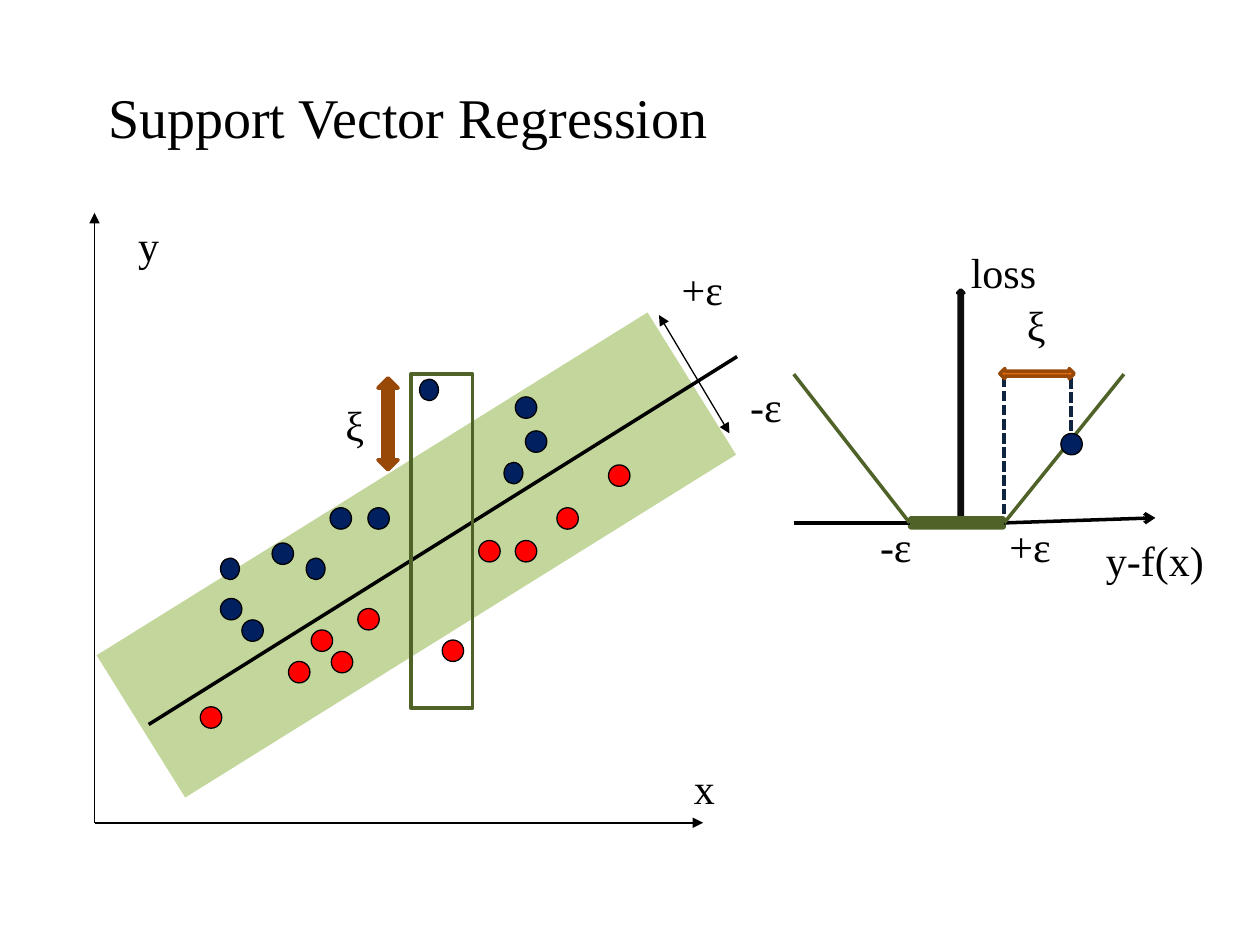
from lxml import etree
from pptx import Presentation
from pptx.dml.color import RGBColor
from pptx.enum.dml import MSO_LINE
from pptx.enum.shapes import MSO_CONNECTOR, MSO_SHAPE
from pptx.enum.text import MSO_ANCHOR, MSO_AUTO_SIZE, PP_ALIGN
from pptx.oxml.ns import qn
from pptx.util import Inches, Pt

BLACK = RGBColor(0x00, 0x00, 0x00)
INK = RGBColor(0x0D, 0x0D, 0x0D)
NAVY = RGBColor(0x00, 0x20, 0x60)
DARK_BLUE = RGBColor(0x0F, 0x24, 0x3E)
RED = RGBColor(0xFF, 0x00, 0x00)
PALE_GREEN = RGBColor(0xC3, 0xD6, 0x9B)
GREEN = RGBColor(0x4F, 0x62, 0x28)
BROWN = RGBColor(0x98, 0x48, 0x07)
ORANGE = RGBColor(0xE4, 0x6C, 0x0A)

RECTANGLE = MSO_SHAPE.RECTANGLE
ROUNDED = MSO_SHAPE.ROUNDED_RECTANGLE
PROCESS = MSO_SHAPE.FLOWCHART_PROCESS
OVAL = MSO_SHAPE.OVAL
UP_ARROW = MSO_SHAPE.UP_ARROW
UP_DOWN_ARROW = MSO_SHAPE.UP_DOWN_ARROW
STRAIGHT = MSO_CONNECTOR.STRAIGHT
DASH = MSO_LINE.SQUARE_DOT
CENTER = PP_ALIGN.CENTER
MIDDLE = MSO_ANCHOR.MIDDLE
FIT = MSO_AUTO_SIZE.SHAPE_TO_FIT_TEXT
LEFT_SIDE, RIGHT_SIDE = 1, 3

COLUMNS, ROWS = 100, 75
TITLE_ONLY = 5
DOT = 1.7

NARROW_DOTS = [(17.5, 44.3), (24.3, 44.3), (33.3, 30.1), (40, 36.7)]
UPPER_DOTS = [(17.5, 47.5), (19.2, 49.2), (21.6, 43.1), (41.7, 34.2),
              (29.2, 40.3), (40.9, 31.5), (26.2, 40.3)]
LOWER_DOTS = [(38, 42.9), (35.1, 50.8), (44.2, 40.3), (24.7, 50), (26.3, 51.7),
              (28.4, 48.3), (22.9, 52.5), (48.3, 36.9), (15.9, 56.1), (40.9, 42.9)]
LABELS = [
    ("x", 53.4, 60, 5, True), ("y", 9.3, 16.9, 5, True),
    ("+ε", 53.1, 20.4, 5.3, False), ("-ε", 58.5, 29.7, 4.6, False),
    ("+ε", 78.3, 40.8, 6.9, True), ("-ε", 68.8, 40.8, 4.6, False),
    ("y-f(x)", 83.8, 41.9, 15.7, True), ("loss", 71.8, 19.1, 15.7, True),
    ("ξ", 78.8, 23.3, 6.9, True), ("ξ", 24.7, 31.2, 6.9, True),
]


def write(frame, text, size=24, font="Times New Roman", color=BLACK, align=CENTER):
    para = frame.paragraphs[0]
    para.alignment = align
    span = para.add_run()
    span.text = text
    span.font.size = Pt(size)
    span.font.name = font
    span.font.color.rgb = color


class Painter:
    def __init__(self, deck):
        self.deck = deck
        self.page = deck.slides.add_slide(deck.slide_layouts[TITLE_ONLY])
        self.shapes = self.page.shapes

    def across(self, columns):
        return round(self.deck.slide_width * columns / COLUMNS)

    def down(self, rows):
        return round(self.deck.slide_height * rows / ROWS)

    def area(self, left, top, width, height):
        return self.across(left), self.down(top), self.across(width), self.down(height)

    def title(self, text, *area):
        box = self.shapes.title
        box.left, box.top, box.width, box.height = self.area(*area)
        box.text_frame.vertical_anchor = MIDDLE
        write(box.text_frame, text, size=32)

    def label(self, text, left, top, width, wrap):
        box = self.shapes.add_textbox(*self.area(left, top, width, 5))
        box.text_frame.word_wrap = wrap
        box.text_frame.auto_size = FIT
        write(box.text_frame, text)

    def shape(self, kind, *area, fill=None, line=None, weight=2, turn=0):
        item = self.shapes.add_shape(kind, *self.area(*area))
        item.shadow.inherit = False
        item.rotation = turn
        for paint, color in ((item.fill, fill), (item.line.fill, line)):
            if color is None:
                paint.background()
            else:
                paint.solid()
                paint.fore_color.rgb = color
        if line is not None:
            item.line.width = Pt(weight)
        return item

    def dots(self, places, color, width=DOT):
        for left, top in places:
            self.shape(OVAL, left, top, width, DOT, fill=color, line=BLACK, weight=0.75)

    def line(self, x1, y1, x2, y2, color=BLACK, weight=2, dash=None, head=None, tail=None):
        item = self.shapes.add_connector(
            STRAIGHT, self.across(x1), self.down(y1), self.across(x2), self.down(y2))
        item.line.color.rgb = color
        item.line.width = Pt(weight)
        if dash:
            item.line.dash_style = dash
        properties = item._element.spPr
        outline = properties.find(qn("a:ln"))
        for tag, arrow in (("a:headEnd", head), ("a:tailEnd", tail)):
            if arrow:
                etree.SubElement(outline, qn(tag), type=arrow)
        etree.SubElement(properties, qn("a:effectLst"))
        return item


def draw_regression(painter):
    painter.shape(RECTANGLE, 7.3, 37.4, 51.5, 13.3, fill=PALE_GREEN, turn=328.1)
    for end in ((55.8, 65.3), (7.5, 16.9)):
        painter.line(7.5, 65.3, *end, weight=1, tail="triangle")
    painter.line(11.8, 57.5, 58.5, 28.3)
    painter.line(52.3, 25, 57.9, 34.4, weight=0.75, head="triangle", tail="triangle")
    painter.dots(NARROW_DOTS, NAVY, width=1.5)
    painter.dots(UPPER_DOTS, NAVY)
    painter.dots(LOWER_DOTS, RED)
    painter.shape(PROCESS, 32.6, 29.7, 4.9, 26.5, line=GREEN)
    painter.shape(UP_DOWN_ARROW, 30, 30, 1.6, 7.3, fill=BROWN, line=BROWN)


def draw_loss(painter):
    painter.shape(UP_ARROW, 76, 23, 0.5, 18.1, fill=INK, line=INK)
    zone = painter.shape(ROUNDED, 72.2, 41.1, 7.5, 0.8, fill=GREEN, line=GREEN)
    painter.line(79.7, 41.5, 91.7, 41.1, tail="arrow").begin_connect(zone, RIGHT_SIDE)
    painter.line(63, 41.5, 72.2, 41.5).end_connect(zone, LEFT_SIDE)
    for x, side in ((63, LEFT_SIDE), (89.2, RIGHT_SIDE)):
        painter.line(x, 29.7, 76, 41.5, color=GREEN).end_connect(zone, side)
    painter.dots([(84.2, 34.4)], NAVY)
    for x, bottom, top in ((79.7, 40.8, 29.7), (85, 34.2, 30)):
        painter.line(x, bottom, x, top, color=DARK_BLUE, dash=DASH)
    painter.shape(UP_DOWN_ARROW, 81.9, 26.7, 0.8, 5.9, fill=ORANGE, line=BROWN, turn=90)


def main():
    deck = Presentation()
    deck.slide_width, deck.slide_height = Inches(10), Inches(7.5)
    painter = Painter(deck)
    painter.title("Support Vector Regression ", 5, 3, 55.9, 12.5)
    draw_regression(painter)
    draw_loss(painter)
    for label in LABELS:
        painter.label(*label)
    deck.save("out.pptx")


if __name__ == "__main__":
    main()
